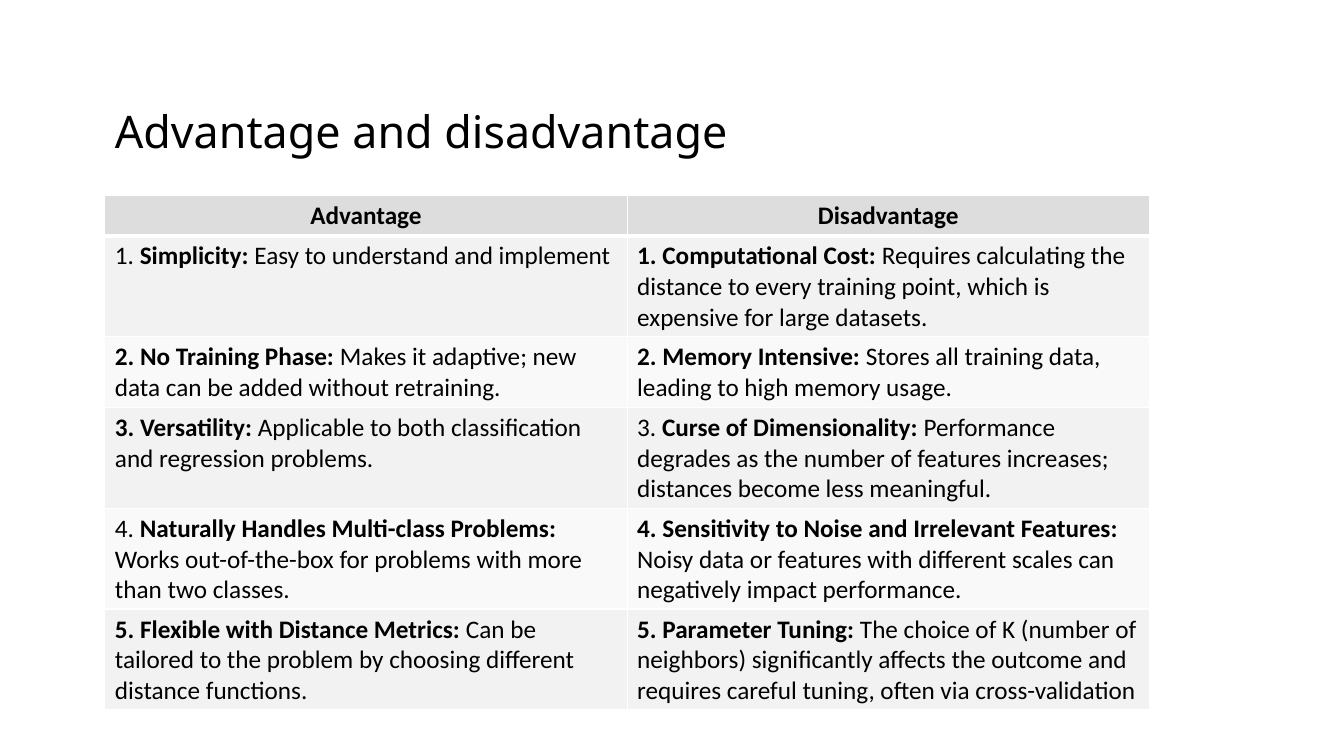
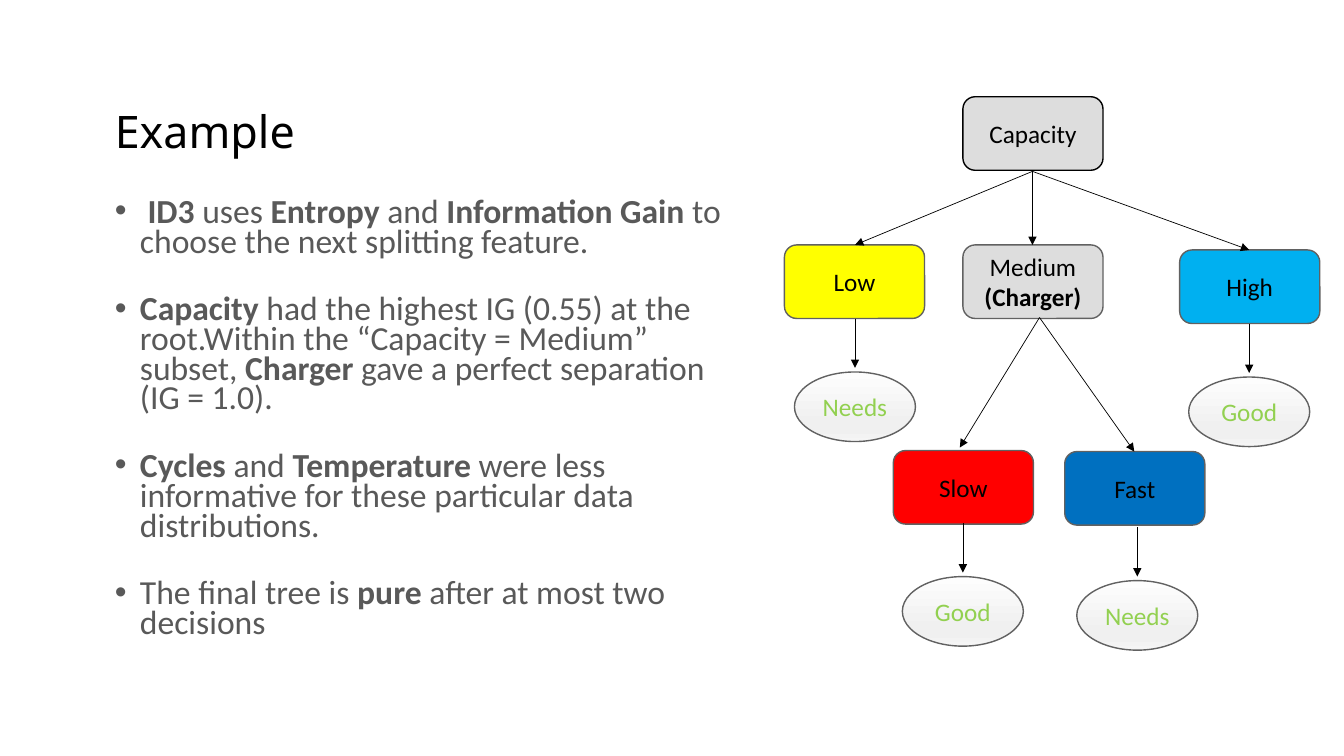
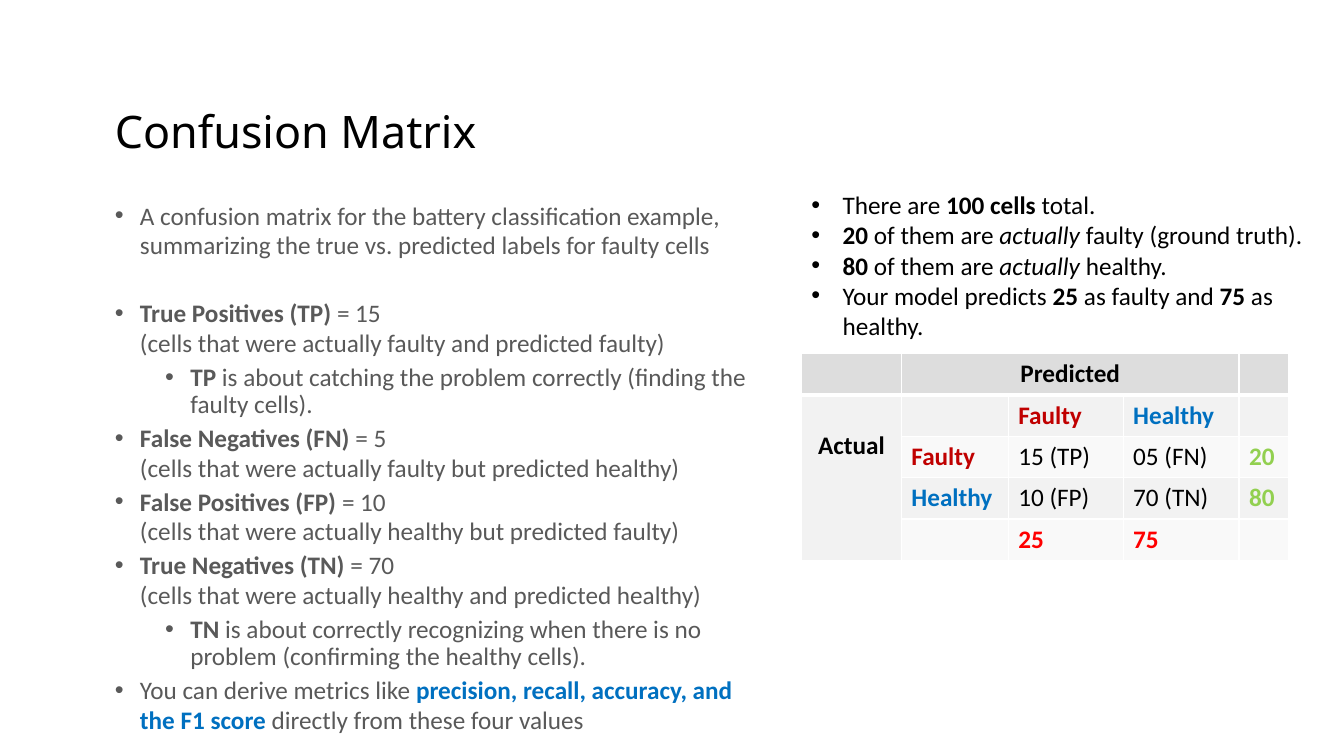
from copy import deepcopy

from lxml.etree import SubElement
from pptx import Presentation
from pptx.dml.color import RGBColor
from pptx.enum.shapes import MSO_CONNECTOR, MSO_SHAPE
from pptx.enum.text import MSO_ANCHOR, PP_ALIGN
from pptx.oxml.ns import qn
from pptx.util import Inches, Pt

# Shared colours, fonts and positions
BLACK = RGBColor(0x00, 0x00, 0x00)
WHITE = RGBColor(0xFF, 0xFF, 0xFF)
BODY_GREY = RGBColor(0x59, 0x59, 0x59)
OUTLINE_GREY = RGBColor(0x61, 0x61, 0x61)
HEADER_GREY = RGBColor(0xDD, 0xDD, 0xDD)
ROW_GREYS = (RGBColor(0xF9, 0xF9, 0xF9), RGBColor(0xF2, 0xF2, 0xF2))
YELLOW = RGBColor(0xFF, 0xFF, 0x00)
SKY = RGBColor(0x00, 0xB0, 0xF0)
BLUE = RGBColor(0x00, 0x70, 0xC0)
RED = RGBColor(0xFF, 0x00, 0x00)
DARK_RED = RGBColor(0xC0, 0x00, 0x00)
GREEN = RGBColor(0x92, 0xD0, 0x50)
LEAF_STOPS = (
    (0, RGBColor(0xFD, 0xFD, 0xFD)),
    (0.74, RGBColor(0xF0, 0xF0, 0xF0)),
    (0.83, RGBColor(0xF0, 0xF0, 0xF0)),
    (1, RGBColor(0xF5, 0xF5, 0xF5)),
)
TITLE_FONT = "Noto Sans"
BODY_FONT = "Calibri"
LEFT = 1.04
CONTENT_TOP = 1.94
CONTENT_WIDTH = 10.36
NODE_WIDTH, NODE_HEIGHT = 1.39, 0.73
LEAF_WIDTH, LEAF_HEIGHT = 1.2, 0.69
BODY_LINE = Pt(21.2)
SMALL_GAP = Pt(3)
BLOCK_GAP = Pt(27.2)


def write_text(paragraph, text, *, size=18, font=BODY_FONT, color=BLACK,
               bold_color=None, align=None, line_spacing=None, space_before=None):
    """Write text in which *...* is bold, ~...~ is italic and a newline breaks the line."""
    if align is not None:
        paragraph.alignment = align
    if line_spacing is not None:
        paragraph.line_spacing = line_spacing
    if space_before is not None:
        paragraph.space_before = space_before
    for bold_index, bold_part in enumerate(text.split("*")):
        bold = bold_index % 2 == 1
        for italic_index, part in enumerate(bold_part.split("~")):
            for line_index, line in enumerate(part.split("\n")):
                if line_index:
                    paragraph.add_line_break()
                if not line:
                    continue
                run = paragraph.add_run()
                run.text = line
                run.font.name = font
                run.font.size = Pt(size)
                run.font.bold = bold
                run.font.italic = italic_index % 2 == 1
                run.font.color.rgb = bold_color if bold and bold_color else color


def add_text_frame(slide, left, top, width, height):
    box = slide.shapes.add_textbox(Inches(left), Inches(top), Inches(width), Inches(height))
    box.text_frame.word_wrap = True
    return box.text_frame


def add_title_slide(presentation, title):
    slide = presentation.slides.add_slide(presentation.slide_layouts[6])
    frame = add_text_frame(slide, LEFT, 0.91, CONTENT_WIDTH, 0.78)
    frame.margin_top = Inches(0.12)
    write_text(frame.paragraphs[0], title, size=32, font=TITLE_FONT, line_spacing=Pt(38.4))
    return slide


def set_bullet(paragraph, indent, hanging):
    properties = paragraph._p.get_or_add_pPr()
    properties.set("marL", str(Inches(indent)))
    properties.set("indent", str(-Inches(hanging)))
    SubElement(properties, qn("a:buFont"), typeface="Arial")
    SubElement(properties, qn("a:buChar"), char="•")


def add_bullets(frame, items, *, indent=0.25, hanging=0.25, **text_format):
    """Add bulleted items, each a text or a pair of text and its own format."""
    for index, item in enumerate(items):
        text, own_format = (item, {}) if isinstance(item, str) else item
        settings = {"indent": indent, **text_format, **own_format}
        paragraph = frame.add_paragraph() if index else frame.paragraphs[0]
        if not index:
            settings["space_before"] = None
        set_bullet(paragraph, settings.pop("indent"), hanging)
        write_text(paragraph, text, **settings)


def set_borders(cell, bottom_width):
    properties = cell._tc.get_or_add_tcPr()
    for side, width in (("L", 1), ("R", 1), ("T", 1), ("B", bottom_width)):
        line = SubElement(properties, qn(f"a:ln{side}"), w=str(Pt(width)))
        fill = SubElement(line, qn("a:solidFill"))
        SubElement(fill, qn("a:srgbClr"), val=str(WHITE))


def add_grid(slide, left, top, widths, heights, rows):
    """Add a table; a cell is a text or a pair of text and colour."""
    frame = slide.shapes.add_table(len(rows), len(widths), Inches(left), Inches(top),
                                   Inches(sum(widths)), Inches(sum(heights)))
    table = frame.table
    table.horz_banding = False
    for column, width in zip(table.columns, widths):
        column.width = Inches(width)
    for row_index, (row, height) in enumerate(zip(rows, heights)):
        table.rows[row_index].height = Inches(height)
        for column_index, item in enumerate(row):
            text, color = (item, BLACK) if isinstance(item, str) else item
            cell = table.cell(row_index, column_index)
            header = row_index == 0
            set_borders(cell, 3 if header else 1)
            cell.fill.solid()
            cell.fill.fore_color.rgb = HEADER_GREY if header else ROW_GREYS[row_index % 2]
            write_text(cell.text_frame.paragraphs[0], text, color=color,
                       align=PP_ALIGN.CENTER if header else None)
    return table


def add_tree_shape(slide, kind, left, top, width, height, text, *,
                   outline=OUTLINE_GREY, color=BLACK):
    shape = slide.shapes.add_shape(kind, Inches(left), Inches(top),
                                   Inches(width), Inches(height))
    shape.shadow.inherit = False
    shape.line.color.rgb = outline
    shape.line.width = Pt(1)
    shape.text_frame.word_wrap = True
    shape.text_frame.vertical_anchor = MSO_ANCHOR.MIDDLE
    write_text(shape.text_frame.paragraphs[0], text, color=color, align=PP_ALIGN.CENTER)
    return shape


def add_node(slide, left, top, text, fill, outline=OUTLINE_GREY):
    node = add_tree_shape(slide, MSO_SHAPE.ROUNDED_RECTANGLE, left, top,
                          NODE_WIDTH, NODE_HEIGHT, text, outline=outline)
    node.fill.solid()
    node.fill.fore_color.rgb = fill


def add_arrow(slide, start, end):
    arrow = slide.shapes.add_connector(MSO_CONNECTOR.STRAIGHT,
                                       *(Inches(value) for value in (*start, *end)))
    arrow.line.color.rgb = BLACK
    arrow.line.width = Pt(0.5)
    SubElement(arrow.line._get_or_add_ln(), qn("a:tailEnd"), type="triangle")
    SubElement(arrow._element.spPr, qn("a:effectLst"))


def add_leaf(slide, center, top, text):
    """Add a result ellipse with the arrow that leads down to it."""
    add_arrow(slide, (center, top - 0.53), (center, top - 0.04))
    leaf = add_tree_shape(slide, MSO_SHAPE.OVAL, center - LEAF_WIDTH / 2, top,
                          LEAF_WIDTH, LEAF_HEIGHT, text, color=GREEN)
    leaf.fill.gradient()
    leaf.fill.gradient_angle = 270
    stop_list = leaf._element.spPr.find(qn("a:gradFill")).find(qn("a:gsLst"))
    while len(stop_list) < len(LEAF_STOPS):
        stop_list.append(deepcopy(stop_list[0]))
    for stop, (position, color) in zip(leaf.fill.gradient_stops, LEAF_STOPS):
        stop.position = position
        stop.color.rgb = color


def build_advantages(presentation):
    slide = add_title_slide(presentation, "Advantage and disadvantage")
    rows = (
        ("*Advantage*", "*Disadvantage*"),
        ("1. *Simplicity:* Easy to understand and implement",
         "*1. Computational Cost:* Requires calculating the distance to every training "
         "point, which is expensive for large datasets."),
        ("*2. No Training Phase:* Makes it adaptive; new data can be added without retraining.",
         "*2. Memory Intensive:* Stores all training data, leading to high memory usage."),
        ("*3. Versatility:* Applicable to both classification and regression problems.",
         "3. *Curse of Dimensionality:* Performance degrades as the number of features "
         "increases; distances become less meaningful."),
        ("4. *Naturally Handles Multi-class Problems:* Works out-of-the-box for problems "
         "with more than two classes.",
         "*4. Sensitivity to Noise and Irrelevant Features:* Noisy data or features with "
         "different scales can negatively impact performance."),
        ("*5. Flexible with Distance Metrics:* Can be tailored to the problem by choosing "
         "different distance functions.",
         "*5. Parameter Tuning:* The choice of K (number of neighbors) significantly affects "
         "the outcome and requires careful tuning, often via cross-validation"),
    )
    line_counts = (1, 3, 2, 3, 3, 3)
    heights = [0.1 + 0.3 * count for count in line_counts]
    add_grid(slide, LEFT, CONTENT_TOP, [CONTENT_WIDTH / 2] * 2, heights, rows)


def build_example(presentation):
    slide = add_title_slide(presentation, "Example")
    frame = add_text_frame(slide, LEFT, CONTENT_TOP, 6.37, 4.64)
    add_bullets(frame, (
        " *ID3* uses *Entropy* and *Information Gain* to choose the next splitting feature.",
        "*Capacity* had the highest IG (0.55) at the root.Within the “Capacity = Medium” "
        "subset, *Charger* gave a perfect separation (IG = 1.0).",
        "*Cycles* and *Temperature* were less informative for these particular data "
        "distributions.",
        "The final tree is *pure* after at most two decisions",
    ), size=24, color=BODY_GREY, line_spacing=BODY_LINE, space_before=BLOCK_GAP)

    # Decision nodes
    add_node(slide, 9.55, 0.96, "Capacity", HEADER_GREY, outline=BLACK)
    for left, top, text, fill in (
        (7.78, 2.43, "Low", YELLOW),
        (9.55, 2.43, "Medium\n*(Charger)*", HEADER_GREY),
        (11.7, 2.48, "High", SKY),
        (8.86, 4.47, "Slow", RED),
        (10.56, 4.48, "Fast", BLUE),
    ):
        add_node(slide, left, top, text, fill)

    # Branches from the two splitting nodes
    for start, ends in (
        ((10.24, 1.7), ((8.48, 2.43), (10.24, 2.43), (12.39, 2.48))),
        ((10.31, 3.15), ((9.52, 4.44), (11.25, 4.48))),
    ):
        for end in ends:
            add_arrow(slide, start, end)

    # Results
    for center, top, text in (
        (8.48, 3.69, "Needs"), (12.39, 3.74, "Good"),
        (9.55, 5.72, "Good"), (11.28, 5.76, "Needs"),
    ):
        add_leaf(slide, center, top, text)


def build_confusion_matrix(presentation):
    slide = add_title_slide(presentation, "Confusion Matrix")
    sub_item = {"indent": 0.75, "line_spacing": 0.9, "space_before": Pt(5)}
    frame = add_text_frame(slide, LEFT, CONTENT_TOP, 6.56, 4.64)
    add_bullets(frame, (
        "A confusion matrix for the battery classification example, summarizing the true "
        "vs. predicted labels for faulty cells",
        ("*True Positives (TP) *= 15\n(cells that were actually faulty and predicted faulty)",
         {"space_before": BLOCK_GAP}),
        ("*TP* is about catching the problem correctly (finding the faulty cells).", sub_item),
        "*False Negatives (FN) *= 5\n(cells that were actually faulty but predicted healthy)",
        "*False Positives (FP) *= 10\n(cells that were actually healthy but predicted faulty)",
        "*True Negatives (TN) *= 70\n(cells that were actually healthy and predicted healthy)",
        ("*TN* is about correctly recognizing when there is no problem (confirming the "
         "healthy cells).", sub_item),
        ("You can derive metrics like *precision, recall, accuracy, and the F1 score* "
         "directly from these four values", {"bold_color": BLUE}),
    ), color=BODY_GREY, line_spacing=BODY_LINE, space_before=SMALL_GAP)

    # Matrix with its totals
    faulty, healthy = ("*Faulty*", DARK_RED), ("*Healthy*", BLUE)
    table = add_grid(slide, 7.95, 3.51, (0.99, 1.06, 1.14, 1.15, 0.49), [0.41] * 5, (
        ("", "*Predicted*", "", "", ""),
        ("*Actual*", "", faulty, healthy, ""),
        ("", faulty, "15 (TP)", "05 (FN)", ("*20*", GREEN)),
        ("", healthy, "10 (FP)", "70 (TN)", ("*80*", GREEN)),
        ("", "", ("*25*", RED), ("*75*", RED), ""),
    ))
    table.cell(0, 1).merge(table.cell(0, 3))
    actual = table.cell(1, 0)
    actual.merge(table.cell(4, 0))
    actual.margin_top = Inches(0.35)
    actual.text_frame.paragraphs[0].alignment = PP_ALIGN.CENTER

    # Facts above the matrix
    add_bullets(add_text_frame(slide, 7.95, 1.83, 5.37, 1.92), (
        "There are *100 cells* total.",
        "*20* of them are ~actually~ faulty (ground truth).",
        "*80* of them are ~actually~ healthy.",
        "Your model predicts *25* as faulty and *75* as healthy.",
    ), indent=0.31, hanging=0.31)


def main():
    presentation = Presentation()
    presentation.slide_width = Inches(13.33)
    presentation.slide_height = Inches(7.5)
    build_advantages(presentation)
    build_example(presentation)
    build_confusion_matrix(presentation)
    presentation.save("out.pptx")


if __name__ == "__main__":
    main()
